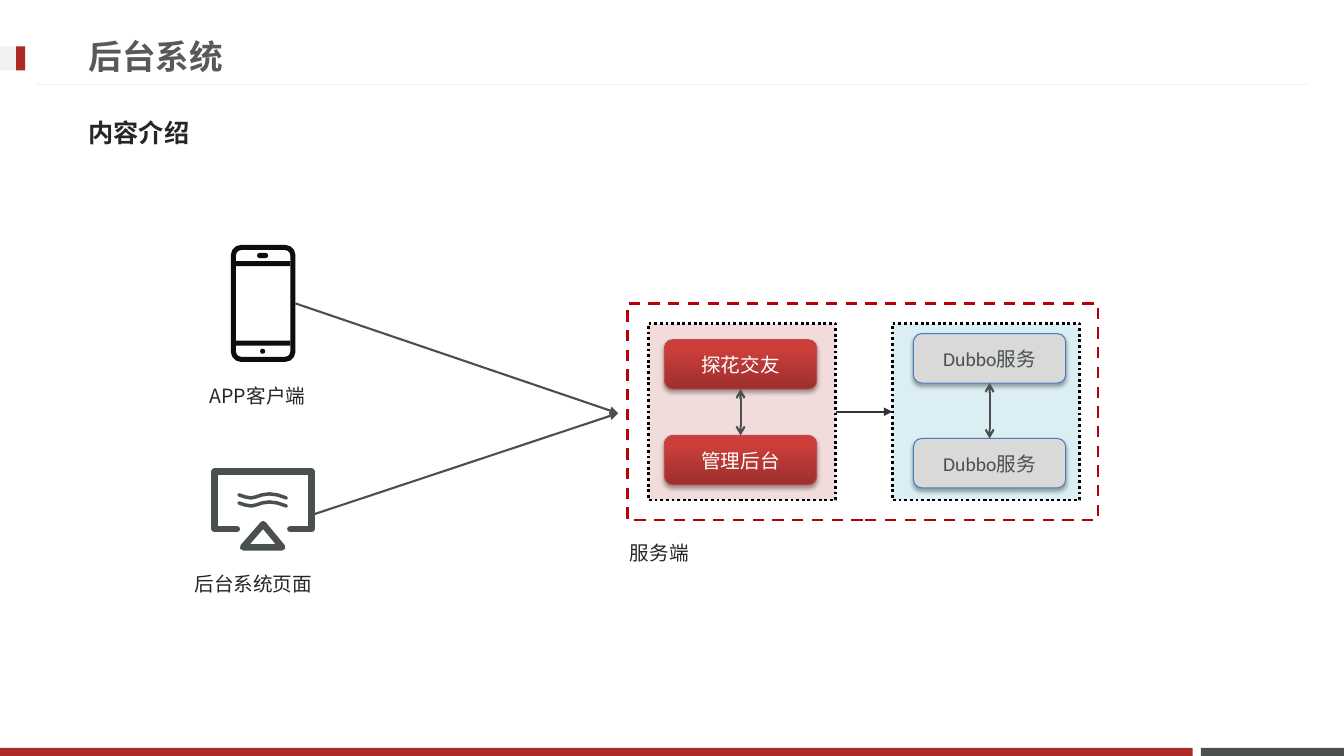
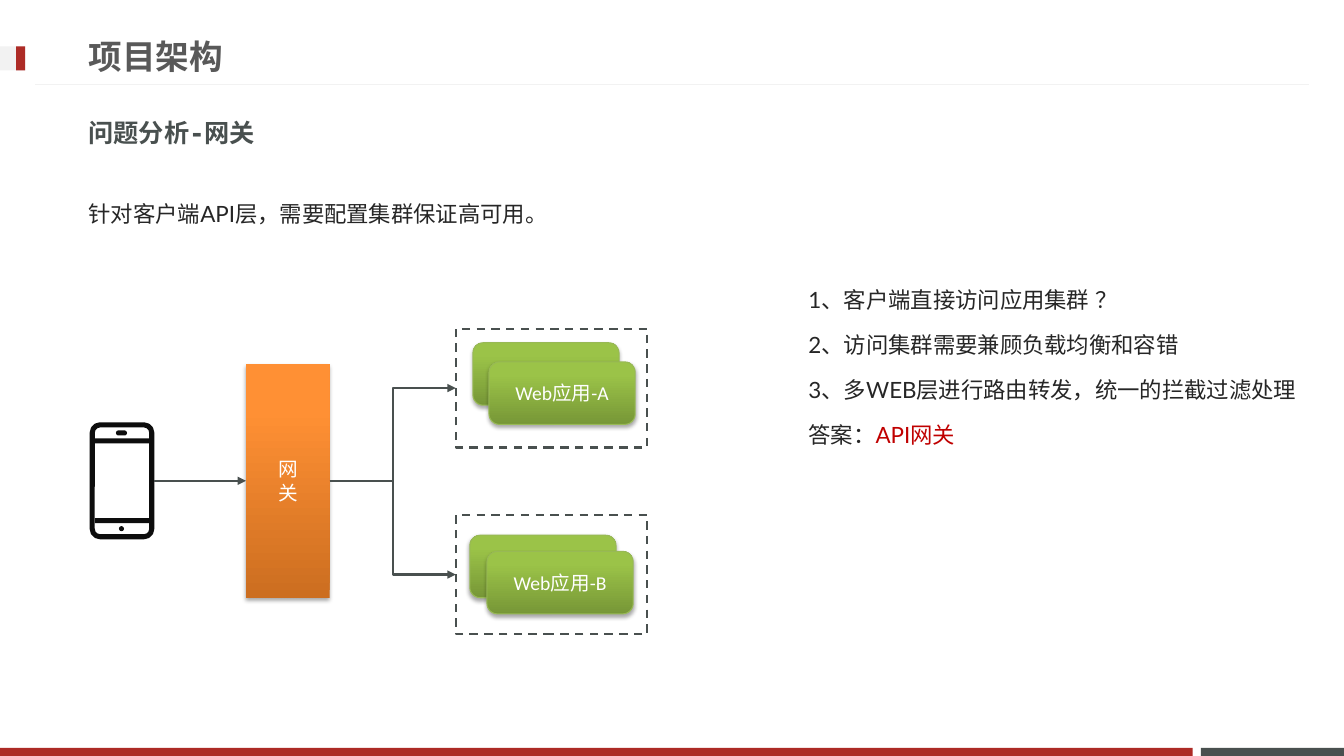
import pptx
import pptx.util
import pptx.dml.color
import pptx.enum.dml
import pptx.enum.shapes
import pptx.enum.text
import pptx.oxml.ns
from lxml import etree

Inches, Pt = pptx.util.Inches, pptx.util.Pt
RGBColor = pptx.dml.color.RGBColor
SHAPE = pptx.enum.shapes.MSO_SHAPE
CONNECTOR = pptx.enum.shapes.MSO_CONNECTOR
DASH = pptx.enum.dml.MSO_LINE
ANCHOR = pptx.enum.text.MSO_ANCHOR
ALIGN = pptx.enum.text.PP_ALIGN
qn = pptx.oxml.ns.qn

RED = RGBColor(0xAD, 0x2B, 0x26)
SLATE = RGBColor(0x49, 0x50, 0x4F)
PALE = RGBColor(0xF2, 0xF2, 0xF2)
TITLE_GREY = RGBColor(0x59, 0x59, 0x59)
INK = RGBColor(0x26, 0x26, 0x26)
ARROW_GREY = RGBColor(0x33, 0x33, 0x33)
PHONE_BLACK = RGBColor(0x0D, 0x0D, 0x0D)
BLACK = RGBColor(0, 0, 0)
WHITE = RGBColor(0xFF, 0xFF, 0xFF)
ANSWER_RED = RGBColor(0xC0, 0, 0)
FRAME_RED = RGBColor(0xB7, 0, 0x06)
PINK = RGBColor(0xF2, 0xDC, 0xDB)
ICE = RGBColor(0xDB, 0xEE, 0xF4)

MONO, NOTO, LATO, CALIBRI = "DejaVu Sans Mono", "Noto Sans CJK JP", "Lato", "Calibri"

RED_NODE = {"fill": (RGBColor(0x9C, 0x2F, 0x2D), RGBColor(0xCB, 0x3E, 0x3A)),
            "line": RGBColor(0xBF, 0x4C, 0x48), "color": WHITE}
GREY_NODE = {"fill": RGBColor(0xD9, 0xD9, 0xD9),
             "line": RGBColor(0x4B, 0x7E, 0xBC), "color": SLATE}
GREEN_NODE = {"fill": (RGBColor(0x77, 0x97, 0x37), RGBColor(0x9B, 0xC3, 0x48)),
              "line": RGBColor(0x98, 0xB9, 0x55), "color": WHITE}
ORANGE_NODE = {"fill": (RGBColor(0xCC, 0x6E, 0x20), RGBColor(0xFF, 0x90, 0x34)),
               "line": None, "color": WHITE}

BANDS = [
    ((11.91, 7.42, 1.42, 0.08), SLATE),
    ((0, 7.42, 11.83, 0.08), RED),
    ((0, 0.46, 0.25, 0.24), PALE),
    ((0.16, 0.46, 0.09, 0.24), RED),
]

BACKEND = {"title": "后台系统", "subtitle": ("内容介绍", NOTO, INK)}
GATEWAY = {"title": "项目架构", "subtitle": ("问题分析-网关", MONO, SLATE)}

CAPTIONS = [
    ("APP客户端", (1.98, 3.64, 1.29, 0.34), NOTO),
    ("后台系统页面", (1.83, 5.51, 1.44, 0.47), NOTO),
    ("服务端", (6.15, 5.2, 3.16, 0.34), LATO),
]
SERVER_FRAME = (6.22, 3.01, 4.67, 2.15)
SERVER_GROUPS = [
    {"left": 6.43, "fill": PINK, "node_left": 6.59, "style": RED_NODE,
     "nodes": [("探花交友", 3.37), ("管理后台", 4.32)]},
    {"left": 8.85, "fill": ICE, "node_left": 9.06, "style": GREY_NODE,
     "nodes": [("Dubbo服务", 3.31), ("Dubbo服务", 4.35)]},
]
GROUP_TOP, GROUP_W, GROUP_H = 3.21, 1.86, 1.75
NODE_W, NODE_H = 1.51, 0.49
CLIENT_TARGET = (6.13, 4.1)
CLIENT_STARTS = [(2.93, 3.01), (3.09, 5.11)]

PHONE_W, PHONE_H, PHONE_EDGE = 0.64, 1.16, 0.05
PHONE_PARTS = [
    (SHAPE.RECTANGLE, (0.05, 0.16, 0.54, 0.05)),
    (SHAPE.RECTANGLE, (0.05, 0.95, 0.54, 0.05)),
    (SHAPE.ROUNDED_RECTANGLE, (0.26, 0.08, 0.11, 0.05)),
    (SHAPE.OVAL, (0.29, 1.03, 0.05, 0.05)),
]
SCREEN = [(2.35, 5.25), (2.13, 5.25), (2.13, 4.68), (3.09, 4.68), (3.09, 5.25), (2.88, 5.25)]
STAND = [(2.41, 5.43), (2.61, 5.2), (2.8, 5.43)]
WAVE = [(2.37, 4.91), (2.43, 4.93), (2.49, 4.94), (2.54, 4.93),
        (2.6, 4.91), (2.67, 4.9), (2.75, 4.91), (2.84, 4.94)]
WAVE_GAP = 0.08

INTRO = "针对客户端API层，需要配置集群保证高可用。"
QUESTIONS = [
    "1、客户端直接访问应用集群 ？",
    "2、访问集群需要兼顾负载均衡和容错",
    "3、多WEB层进行路由转发，统一的拦截过滤处理",
    [("答案：", INK), ("API网关", ANSWER_RED)],
]
GATEWAY_PHONE = (0.89, 4.19)
GATEWAY_BOX = (2.44, 3.61, 0.83, 2.32)
CLUSTER_LEFT, CLUSTER_W, CLUSTER_H = 4.52, 1.9, 1.18
APP_W, APP_H = 1.45, 0.62
CLUSTERS = [
    ("Web应用-A", 3.26, (4.69, 3.4), (4.85, 3.59)),
    ("Web应用-B", 5.11, (4.66, 5.31), (4.83, 5.47)),
]


def write(frame, paragraphs, size, font, color, bold=False, align=None, spacing=None):
    frame.word_wrap = True
    for index, content in enumerate(paragraphs):
        paragraph = frame.paragraphs[0] if index == 0 else frame.add_paragraph()
        runs = [(content, color)] if isinstance(content, str) else content
        for words, run_color in runs:
            run = paragraph.add_run()
            run.text = words
            if len(runs) > 1:
                run.font.color.rgb = run_color
        if align is not None:
            paragraph.alignment = align
        if spacing:
            paragraph.line_spacing = spacing
            if index:
                paragraph.space_before = Pt(size * 0.2)
        paragraph.font.size = Pt(size)
        paragraph.font.bold = bold
        paragraph.font.color.rgb = color
        paragraph.font.name = font
        latin = paragraph._p.pPr.find(qn("a:defRPr")).find(qn("a:latin"))
        east_asian = etree.Element(qn("a:ea"), typeface=font)
        latin.addnext(east_asian)


def add_text(slide, box, paragraphs, size, font, color, anchor=ANCHOR.TOP, **style):
    frame = slide.shapes.add_textbox(*map(Inches, box)).text_frame
    frame.vertical_anchor = anchor
    write(frame, paragraphs, size, font, color, **style)


def add_box(slide, box, fill=None, line=None, width=0.75, dash=None, kind=SHAPE.RECTANGLE):
    shape = slide.shapes.add_shape(kind, *map(Inches, box))
    shape.shadow.inherit = False
    if fill is None:
        shape.fill.background()
    elif isinstance(fill, tuple) and not isinstance(fill, RGBColor):
        shape.fill.gradient()
        shape.fill.gradient_angle = 90
        for stop, position, color in zip(shape.fill.gradient_stops, (0, 0.8), fill):
            stop.position = position
            stop.color.rgb = color
    else:
        shape.fill.solid()
        shape.fill.fore_color.rgb = fill
    if line is None:
        shape.line.fill.background()
    else:
        shape.line.color.rgb = line
        shape.line.width = Pt(width)
        if dash is not None:
            shape.line.dash_style = dash
    return shape


def add_node(slide, box, labels, style, kind=SHAPE.ROUNDED_RECTANGLE):
    node = add_box(slide, box, style["fill"], style["line"], kind=kind)
    effects = node._element.spPr.find(qn("a:effectLst"))
    shadow = etree.SubElement(effects, qn("a:outerShdw"), blurRad=str(Pt(3.1)),
                              dist=str(Pt(1.8)), dir="5400000", rotWithShape="0")
    black = etree.SubElement(shadow, qn("a:srgbClr"), val="000000")
    etree.SubElement(black, qn("a:alpha"), val="35000")
    node.text_frame.vertical_anchor = ANCHOR.MIDDLE
    write(node.text_frame, labels, 14, CALIBRI, style["color"], align=ALIGN.CENTER)


def add_line(slide, start, end, color=SLATE, width=1.5, head=None, tail=None,
             kind=CONNECTOR.STRAIGHT):
    line = slide.shapes.add_connector(kind, *map(Inches, (*start, *end)))
    line.line.color.rgb = color
    line.line.width = Pt(width)
    properties = line._element.spPr
    outline = properties.find(qn("a:ln"))
    for tag, arrow in (("a:headEnd", head), ("a:tailEnd", tail)):
        if arrow:
            etree.SubElement(outline, qn(tag), type=arrow)
    etree.SubElement(properties, qn("a:effectLst"))


def add_stroke(slide, points, width, close=False):
    corners = [tuple(map(Inches, point)) for point in points]
    builder = slide.shapes.build_freeform(*corners[0])
    builder.add_line_segments(corners[1:], close=close)
    stroke = builder.convert_to_shape()
    stroke.shadow.inherit = False
    stroke.fill.background()
    stroke.line.color.rgb = SLATE
    stroke.line.width = Pt(width)
    outline = stroke._element.spPr.find(qn("a:ln"))
    outline.set("cap", "rnd")
    etree.SubElement(outline, qn("a:round"))


def add_phone(slide, left, top):
    body = add_box(slide, (left + PHONE_EDGE / 2, top + PHONE_EDGE / 2,
                           PHONE_W - PHONE_EDGE, PHONE_H - PHONE_EDGE),
                   WHITE, PHONE_BLACK, PHONE_EDGE * 72, kind=SHAPE.ROUNDED_RECTANGLE)
    body.adjustments[0] = 0.13
    for kind, (x, y, width, height) in PHONE_PARTS:
        part = add_box(slide, (left + x, top + y, width, height), PHONE_BLACK, kind=kind)
        if kind == SHAPE.ROUNDED_RECTANGLE:
            part.adjustments[0] = 0.5


def add_monitor(slide):
    add_stroke(slide, SCREEN, 4.6)
    add_stroke(slide, STAND, 4.6, close=True)
    for row in range(2):
        add_stroke(slide, [(x, y + row * WAVE_GAP) for x, y in WAVE], 2.5)


def start_slide(deck, heading):
    slide = deck.slides.add_slide(deck.slide_layouts[6])
    for box, color in BANDS:
        add_box(slide, box, color)
    add_line(slide, (0.35, 0.84), (12.98, 0.84), PALE, 0.75)
    add_text(slide, (0.78, 0.27, 9.59, 0.57), [heading["title"]], 24, MONO, TITLE_GREY,
             ANCHOR.MIDDLE, bold=True)
    subtitle, font, color = heading["subtitle"]
    add_text(slide, (0.78, 1.03, 11.76, 0.57), [subtitle], 18, font, color,
             ANCHOR.MIDDLE, bold=True)
    return slide


def build_backend(deck):
    slide = start_slide(deck, BACKEND)
    add_phone(slide, 2.29, 2.43)
    add_monitor(slide)
    for caption, box, font in CAPTIONS:
        add_text(slide, box, [caption], 14, font, INK, spacing=1.5)
    add_box(slide, SERVER_FRAME, line=FRAME_RED, width=2, dash=DASH.DASH)
    for group in SERVER_GROUPS:
        add_box(slide, (group["left"], GROUP_TOP, GROUP_W, GROUP_H), group["fill"],
                BLACK, 2, DASH.ROUND_DOT)
        for label, top in group["nodes"]:
            add_node(slide, (group["node_left"], top, NODE_W, NODE_H), [label], group["style"])
        (_, upper), (_, lower) = group["nodes"]
        middle = group["node_left"] + NODE_W / 2
        add_line(slide, (middle, upper + NODE_H), (middle, lower), head="arrow", tail="arrow")
    web, services = SERVER_GROUPS
    centre = GROUP_TOP + GROUP_H / 2
    add_line(slide, (web["left"] + GROUP_W, centre), (services["left"], centre),
             ARROW_GREY, tail="triangle")
    for start in CLIENT_STARTS:
        add_line(slide, start, CLIENT_TARGET, tail="triangle")


def build_gateway(deck):
    slide = start_slide(deck, GATEWAY)
    add_text(slide, (0.78, 1.8, 11.76, 0.57), [INTRO], 16, LATO, INK, spacing=1.5)
    add_text(slide, (7.92, 2.66, 5.12, 4.06), QUESTIONS, 16, LATO, INK, spacing=1.5)
    add_phone(slide, *GATEWAY_PHONE)
    add_node(slide, GATEWAY_BOX, ["网", "关"], ORANGE_NODE, SHAPE.RECTANGLE)
    left, top, width, height = GATEWAY_BOX
    centre = top + height / 2
    add_line(slide, (GATEWAY_PHONE[0] + PHONE_W, centre), (left, centre), tail="triangle")
    for label, cluster_top, back, front in CLUSTERS:
        add_box(slide, (CLUSTER_LEFT, cluster_top, CLUSTER_W, CLUSTER_H),
                line=SLATE, width=1.5, dash=DASH.DASH)
        for corner, labels in ((back, []), (front, [label])):
            add_node(slide, (*corner, APP_W, APP_H), labels, GREEN_NODE)
        add_line(slide, (left + width, centre), (CLUSTER_LEFT, cluster_top + CLUSTER_H / 2),
                 tail="triangle", kind=CONNECTOR.ELBOW)


def main():
    deck = pptx.Presentation()
    deck.slide_width, deck.slide_height = Inches(13.33), Inches(7.5)
    build_backend(deck)
    build_gateway(deck)
    deck.save("out.pptx")


if __name__ == "__main__":
    main()
